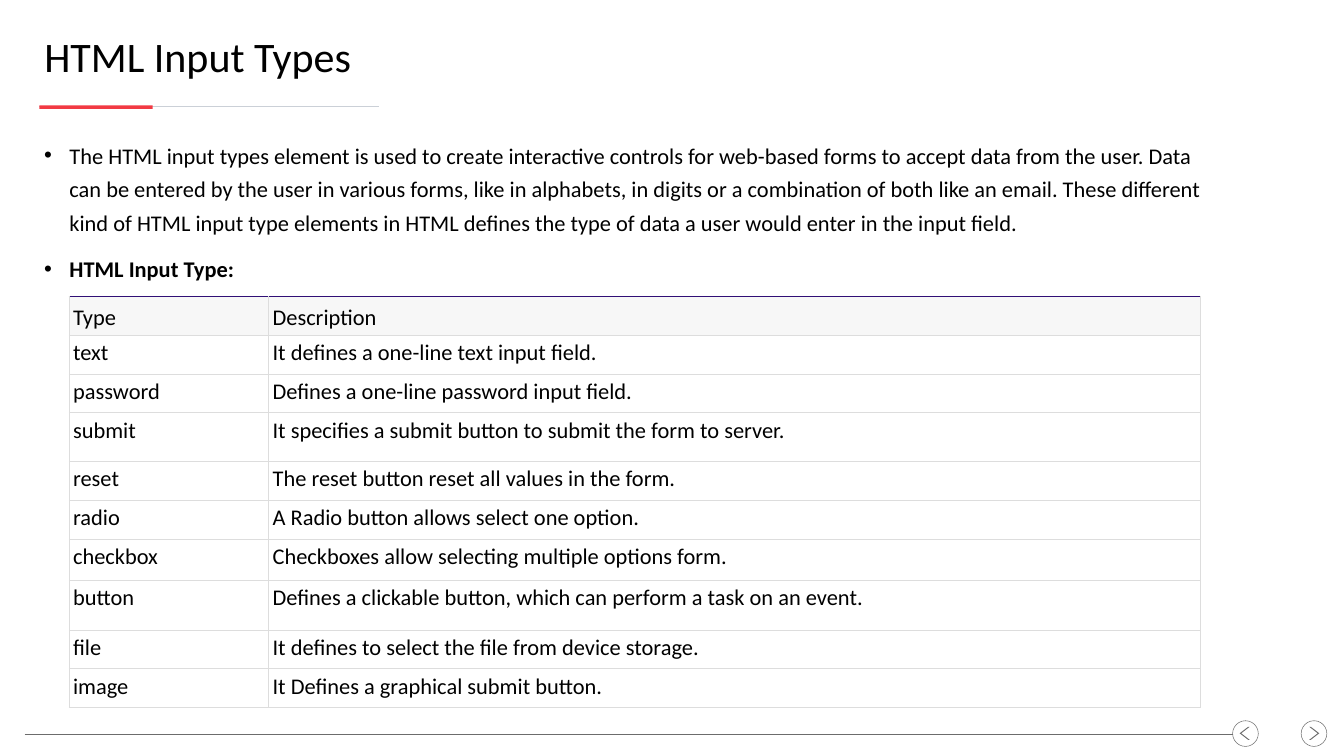
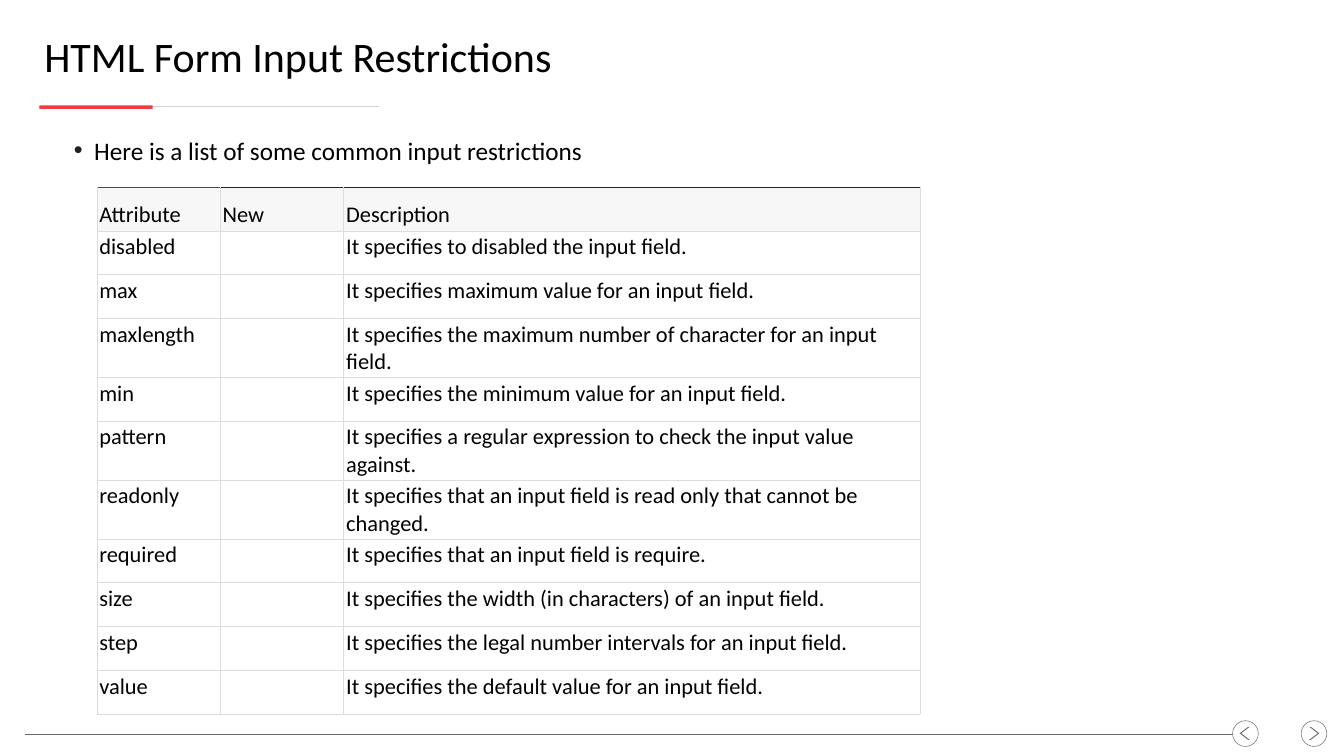
import pptx
import pptx.util
import pptx.dml.color
import pptx.enum.shapes
import pptx.enum.text
from lxml import etree

Inches = pptx.util.Inches
Pt = pptx.util.Pt
SHAPE = pptx.enum.shapes.MSO_SHAPE
ANCHOR = pptx.enum.text.MSO_ANCHOR
NS = "http://schemas.openxmlformats.org/drawingml/2006/main"


def rgb(value):
    return pptx.dml.color.RGBColor.from_string(value)


def add_node(parent, tag, **attrs):
    return etree.SubElement(parent, f"{{{NS}}}{tag}", **attrs)


class Deck:
    font = "Calibri"
    ink = "000000"
    accent = "F23A43"
    rule = "CBD0D7"
    footer = "6C6C6C"
    border = "DDDDDD"
    header = "F7F7F7"

    def __init__(self):
        self.prs = pptx.Presentation()
        self.prs.slide_width = Inches(26.67)
        self.prs.slide_height = Inches(15)

    def slide(self, title):
        self.s = self.prs.slides.add_slide(self.prs.slide_layouts[6])
        self.line(0.78, 7.52, 2.12, self.rule, 1.5)
        self.shape(SHAPE.RECTANGLE, 0.78, 2.09, 2.25, 0.07, fill=self.accent)
        self.arrow_button(25.82, 25.98)
        self.arrow_button(24.46, 24.6, back=True)
        self.line(0.49, 24.46, 14.56, self.footer, 0.75)
        tf = self.text_box(0.78, 0.59, 25.05, 1.04, ANCHOR.MIDDLE)
        self.paragraph(tf, title, 60, after=12)

    def line(self, left, right, y, color, width):
        ln = self.s.shapes.add_connector(
            pptx.enum.shapes.MSO_CONNECTOR.STRAIGHT,
            Inches(left), Inches(y), Inches(right), Inches(y))
        ln.line.color.rgb = rgb(color)
        ln.line.width = Pt(width)
        add_node(ln._element.spPr, "effectLst")

    def shape(self, kind, left, top, width, height, fill=None, line=None):
        sp = self.s.shapes.add_shape(
            kind, Inches(left), Inches(top), Inches(width), Inches(height))
        sp.shadow.inherit = False
        if fill:
            sp.fill.solid()
            sp.fill.fore_color.rgb = rgb(fill)
        else:
            sp.fill.background()
        if line:
            sp.line.color.rgb = rgb(line)
            sp.line.width = Pt(0.75)
        else:
            sp.line.fill.background()
        return sp

    def arrow_button(self, left, arrow_left, back=False):
        self.shape(SHAPE.OVAL, left, 14.3, 0.51, 0.51, line=self.footer)
        arrow = self.shape(SHAPE.CHEVRON, arrow_left, 14.42, 0.2, 0.26,
                           fill=self.footer)
        arrow.adjustments[0] = 0.844
        if back:
            arrow._element.spPr.get_or_add_xfrm().set("flipH", "1")

    def text_box(self, left, top, width, height, anchor=ANCHOR.TOP):
        box = self.s.shapes.add_textbox(
            Inches(left), Inches(top), Inches(width), Inches(height))
        tf = box.text_frame
        tf.word_wrap = True
        tf.vertical_anchor = anchor
        return tf

    def body(self):
        return self.text_box(0.78, 2.63, 23.33, 10.88)

    def run(self, p, text, size, bold=False):
        r = p.add_run()
        r.text = text
        r.font.name = self.font
        r.font.size = Pt(size)
        r.font.bold = bold
        r.font.color.rgb = rgb(self.ink)

    def paragraph(self, tf, text, size, bold=False, after=0, spacing=None):
        p = tf.paragraphs[0]
        if p.runs:
            p = tf.add_paragraph()
        p.space_before = Pt(size * 0.2)
        p.space_after = Pt(after)
        if spacing:
            p.line_spacing = spacing
        self.run(p, text, size, bold)
        return p

    def bullet(self, tf, text, size, left, hang, color=None, **style):
        p = self.paragraph(tf, text, size, **style)
        pPr = p._p.get_or_add_pPr()
        pPr.set("marL", str(Inches(left)))
        pPr.set("indent", str(-Inches(hang)))
        if color:
            add_node(add_node(pPr, "buClr"), "srgbClr", val=color)
        add_node(pPr, "buFont", typeface="Arial")
        add_node(pPr, "buChar", char="•")

    def borders(self, cell, top):
        tcPr = cell._tc.get_or_add_tcPr()
        sides = {"L": self.border, "R": self.border,
                 "T": top, "B": self.border}
        for side, color in sides.items():
            ln = add_node(tcPr, f"ln{side}", w=str(Pt(0.75)))
            add_node(add_node(ln, "solidFill"), "srgbClr", val=color)

    def table(self, left, top, widths, heights, rows, tops, margin, fill=None):
        frame = self.s.shapes.add_table(
            len(rows), len(widths), Inches(left), Inches(top),
            Inches(sum(widths)), Inches(sum(heights)))
        table = frame.table
        table.first_row = table.horz_banding = False
        for col, width in zip(table.columns, widths):
            col.width = Inches(width)
        for i, (height, row) in enumerate(zip(heights, rows)):
            table.rows[i].height = Inches(height)
            for j, text in enumerate(row):
                cell = table.cell(i, j)
                cell.margin_left = cell.margin_right = Inches(margin)
                cell.margin_top = cell.margin_bottom = Inches(margin)
                cell.vertical_anchor = ANCHOR.TOP if i else ANCHOR.BOTTOM
                self.borders(cell, self.border if i else tops[j])
                color = fill if i else self.header
                if color:
                    cell.fill.solid()
                    cell.fill.fore_color.rgb = rgb(color)
                else:
                    cell.fill.background()
                if text:
                    self.run(cell.text_frame.paragraphs[0], text, 32)


INPUT_TYPES = [
    ("Type", "Description"),
    ("text", "It defines a one-line text input field."),
    ("password", "Defines a one-line password input field."),
    ("submit", "It specifies a submit button to submit the form to server."),
    ("reset", "The reset button reset all values in the form."),
    ("radio", "A Radio button allows select one option."),
    ("checkbox", "Checkboxes allow selecting multiple options form."),
    ("button", "Defines a clickable button, which can perform a task on an event."),
    ("file", "It defines to select the file from device storage."),
    ("image", "It Defines a graphical submit button."),
]

RESTRICTIONS = [
    ("Attribute", "New", "Description"),
    ("disabled", "", "It specifies to disabled the input field."),
    ("max", "", "It specifies maximum value for an input field."),
    ("maxlength", "", "It specifies the maximum number of character for an input field."),
    ("min", "", "It specifies the minimum value for an input field."),
    ("pattern", "", "It specifies a regular expression to check the input value against."),
    ("readonly", "", "It specifies that an input field is read only that cannot be changed."),
    ("required", "", "It specifies that an input field is require."),
    ("size", "", "It specifies the width (in characters) of an input field."),
    ("step", "", "It specifies the legal number intervals for an input field."),
    ("value", "", "It specifies the default value for an input field."),
]

deck = Deck()

deck.slide("HTML Input Types")
tf = deck.body()
intro = (
    "The HTML input types element is used to create interactive controls for "
    "web-based forms to accept data from the user. Data can be entered by the "
    "user in various forms, like in alphabets, in digits or a combination of "
    "both like an email. These different kind of HTML input type elements in "
    "HTML defines the type of data a user would enter in the input field.")
for text, bold in ((intro, False), ("HTML Input Type:", True)):
    deck.bullet(tf, text, 32, 0.5, 0.5, bold=bold, after=12, spacing=1.25)
tall_rows = {"submit": 0.97, "checkbox": 0.82, "button": 0.98}
deck.table(1.37, 5.88, [3.96, 18.48],
           [tall_rows.get(row[0], 0.77) for row in INPUT_TYPES],
           INPUT_TYPES, ["301076", "300F76"], 0.08, fill="FFFFFF")

deck.slide("HTML Form Input Restrictions")
deck.bullet(deck.body(), "Here is a list of some common input restrictions",
            36, 0.99, 0.4, color="1F1F1F")
deck.table(1.92, 3.71, [2.45, 2.45, 11.44], [0.87] * len(RESTRICTIONS),
           RESTRICTIONS, ["9012B8", "1014B8", "1014B8"], 0.05)

deck.prs.save("out.pptx")
